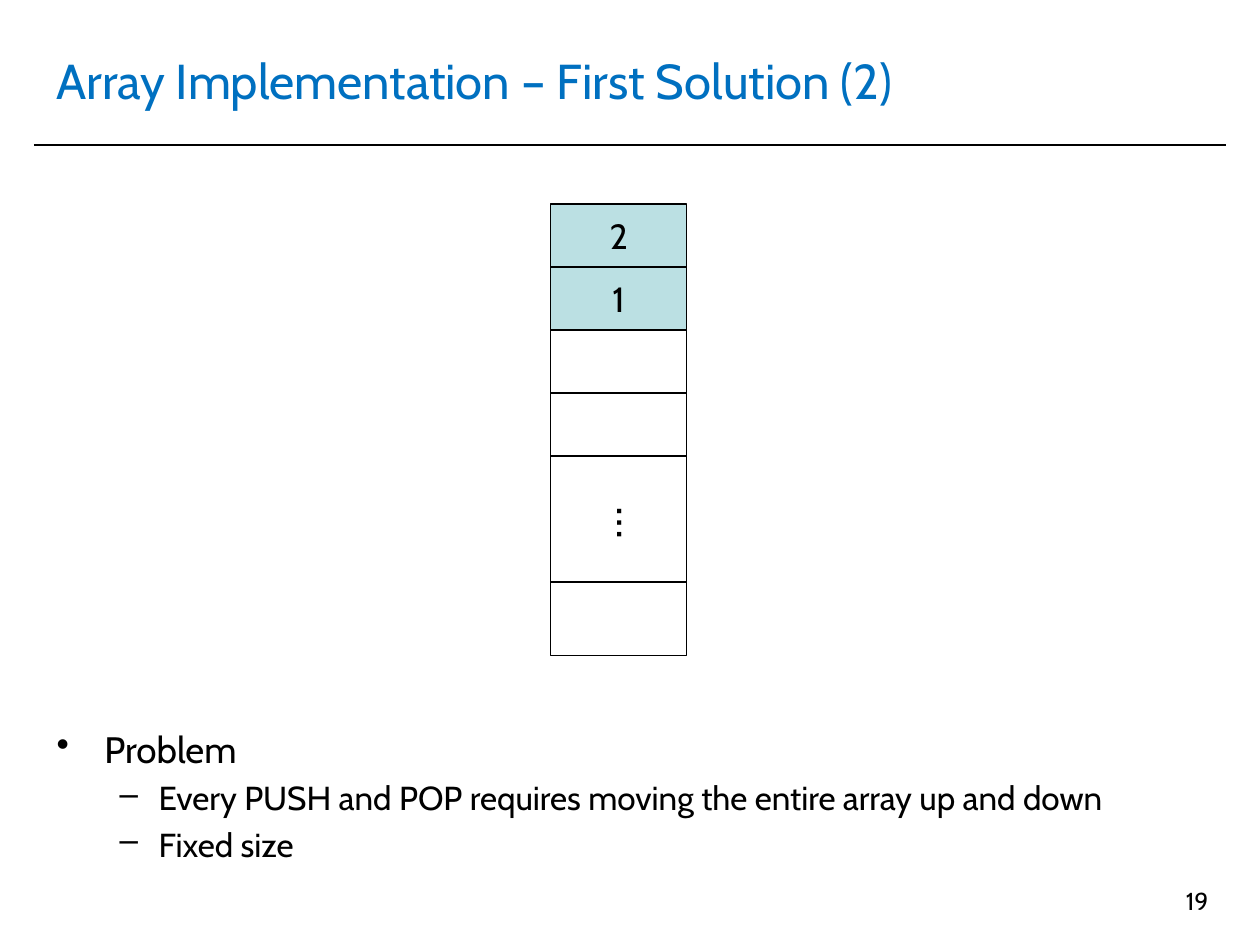
import lxml.etree
import pptx
import pptx.dml.color
import pptx.enum.shapes
import pptx.enum.text
import pptx.oxml.ns
import pptx.util

ALIGN = pptx.enum.text.PP_ALIGN
ANCHOR = pptx.enum.text.MSO_ANCHOR


def color(code):
    return pptx.dml.color.RGBColor.from_string(code)


class Painter:
    """Draws styled elements on one page, measured in columns and rows."""

    COLUMNS, ROWS = 10, 7.5
    FONT = "Cabin"
    INK, ACCENT, FILLED = "000000", "0070C0", "BBE0E3"

    def __init__(self, deck):
        self.page = deck.slides.add_slide(deck.slide_layouts[6])
        self.column = deck.slide_width / self.COLUMNS
        self.row = deck.slide_height / self.ROWS

    def place(self, *lengths):
        return [round(length * unit) for length, unit in zip(lengths, (self.column, self.row) * 2)]

    def style(self, para, text, size, ink=INK, align=ALIGN.LEFT):
        para.text = text
        para.alignment = align
        para.font.name = self.FONT
        para.font.size = pptx.util.Pt(size)
        para.font.color.rgb = color(ink)

    def rule(self, left, top, right):
        line = self.page.shapes.add_connector(
            pptx.enum.shapes.MSO_CONNECTOR.STRAIGHT, *self.place(left, top, right, top))
        line.line.color.rgb = color(self.INK)
        line.line.width = pptx.util.Pt(1)
        lxml.etree.SubElement(line._element.spPr, pptx.oxml.ns.qn("a:effectLst"))

    def frame(self, *area, anchor=ANCHOR.TOP):
        box = self.page.shapes.add_textbox(*self.place(*area))
        box.text_frame.word_wrap = True
        box.text_frame.vertical_anchor = anchor
        return box

    def text(self, words, size, *area, ink=INK, align=ALIGN.LEFT, anchor=ANCHOR.TOP, turn=0):
        box = self.frame(*area, anchor=anchor)
        box.rotation = turn
        self.style(box.text_frame.paragraphs[0], words, size, ink, align)

    def cell(self, label, fill, *area):
        box = self.page.shapes.add_shape(
            pptx.enum.shapes.MSO_SHAPE.RECTANGLE, *self.place(*area))
        box.shadow.inherit = False
        if fill:
            box.fill.solid()
            box.fill.fore_color.rgb = color(fill)
        else:
            box.fill.background()
        box.line.color.rgb = color(self.INK)
        box.line.width = pptx.util.Pt(0.75)
        if label:
            box.text_frame.word_wrap = False
            box.text_frame.vertical_anchor = ANCHOR.MIDDLE
            self.style(box.text_frame.paragraphs[0], label, 20, align=ALIGN.CENTER)

    def stack(self, cells, left, top, width):
        for label, fill, height in cells:
            self.cell(label, fill, left, top, width, height)
            top += height

    def bullets(self, items, *area):
        levels = ((21, "•", 0.38, 0.38), (19, "–", 0.81, 0.31))
        frame = self.frame(*area).text_frame
        for index, (level, words) in enumerate(items):
            size, mark, margin, hang = levels[level]
            para = frame.add_paragraph() if index else frame.paragraphs[0]
            self.style(para, words, size)
            para.level = level
            para.space_before = pptx.util.Pt(size * 0.2 if index else 0)
            props = para._p.get_or_add_pPr()
            props.set("marL", str(pptx.util.Inches(margin)))
            props.set("indent", str(-pptx.util.Inches(hang)))
            bullet = props.makeelement(pptx.oxml.ns.qn("a:buChar"), {"char": mark})
            props.find(pptx.oxml.ns.qn("a:defRPr")).addprevious(bullet)


def main():
    deck = pptx.Presentation()
    deck.slide_width = pptx.util.Inches(10)
    deck.slide_height = pptx.util.Inches(7.5)
    painter = Painter(deck)

    painter.rule(0.27, 1.15, 9.73)
    painter.text("Array Implementation – First Solution (2)", 28, 0.35, 0.21, 9.29, 0.85,
                 ink=painter.ACCENT, anchor=ANCHOR.MIDDLE)
    painter.stack((
        ("2", painter.FILLED, 0.5),
        ("1", painter.FILLED, 0.5),
        ("", "FFFFFF", 0.5),
        ("", None, 0.5),
        ("", None, 1),
        ("", None, 0.58),
    ), 4.37, 1.62, 1.08)
    painter.text("…", 28, 4.58, 3.87, 0.94, 0.57, align=ALIGN.CENTER, turn=90)
    painter.bullets((
        (0, "Problem"),
        (1, "Every PUSH and POP requires moving the entire array up and down"),
        (1, "Fixed size"),
    ), 0.35, 5.72, 9.29, 1.1)
    painter.text("19", 14, 7.36, 6.98, 2.33, 0.52, align=ALIGN.RIGHT)

    deck.save("out.pptx")


if __name__ == "__main__":
    main()
